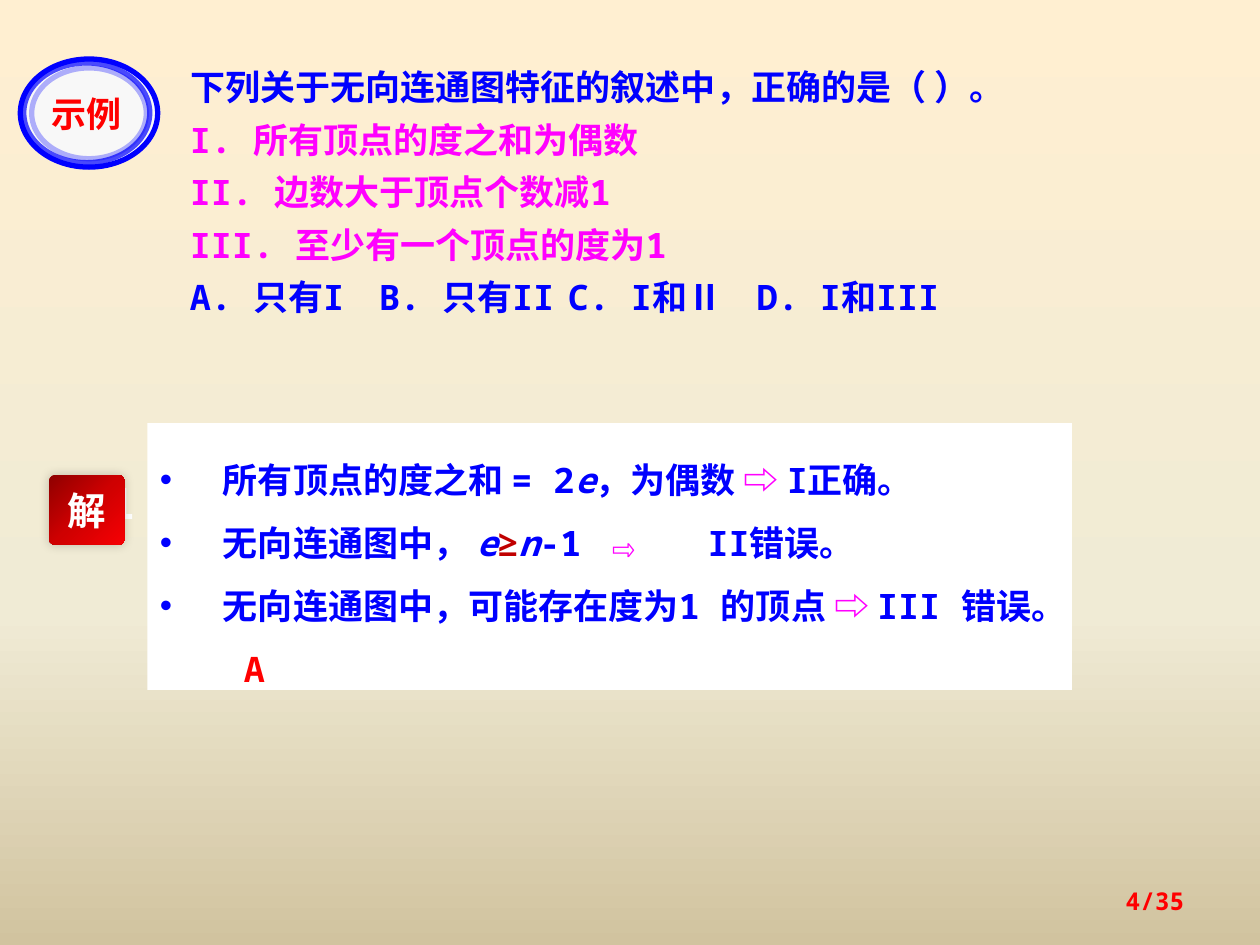
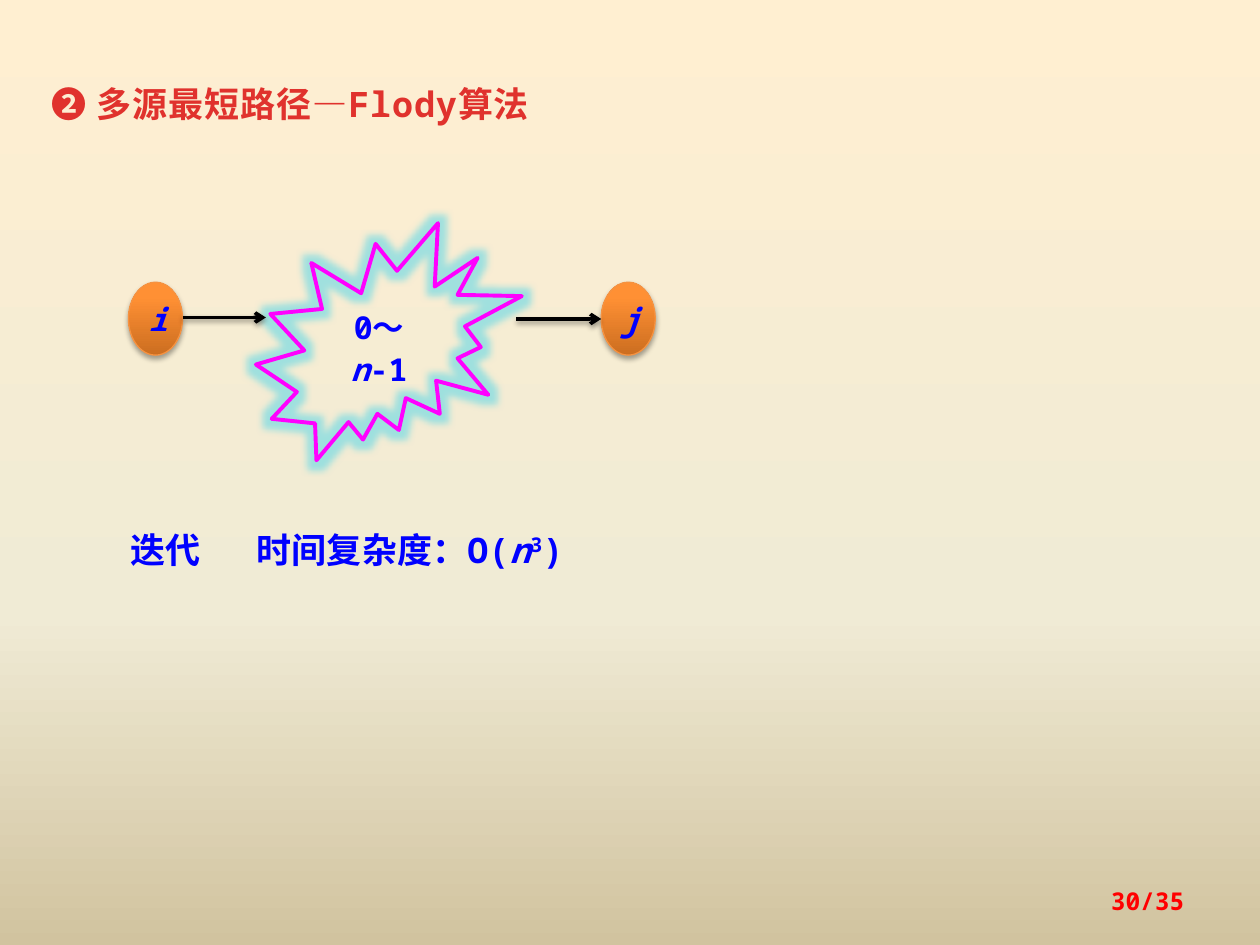
"""Build two slides on graph algorithms: a worked example and the all-pairs shortest path."""
from dataclasses import dataclass

from lxml import etree
from pptx import Presentation
from pptx.dml.color import RGBColor
from pptx.enum.shapes import MSO_CONNECTOR, MSO_SHAPE
from pptx.enum.text import MSO_ANCHOR, MSO_AUTO_SIZE, PP_ALIGN
from pptx.oxml.ns import qn
from pptx.util import Cm, Pt

LEFT, CENTER, RIGHT = PP_ALIGN.LEFT, PP_ALIGN.CENTER, PP_ALIGN.RIGHT
TOP, MIDDLE = MSO_ANCHOR.TOP, MSO_ANCHOR.MIDDLE
OVAL, ROUNDED, SEAL = MSO_SHAPE.OVAL, MSO_SHAPE.ROUNDED_RECTANGLE, MSO_SHAPE.EXPLOSION2


@dataclass(frozen=True)
class Theme:
    """Colours, gradients, fonts and sizes."""
    mono: str = "Noto Sans Mono"
    cjk: str = "Noto Sans CJK SC"
    badge_font: str = "Noto Sans CJK JP"
    blue: str = "0000FF"
    pink: str = "FF00FF"
    red: str = "FF0000"
    dark_red: str = "C00000"
    heading: str = "E0322D"
    white: str = "FFFFFF"
    black: str = "000000"
    badge: str = "F8F8F8"
    node_line: str = "F69240"
    glow: str = "66D8E6"
    backdrop: tuple = ((0, "FFEFD1"), (65, "F0EBD5"), (100, "D1C39F"))
    node: tuple = ((0, "CC6E20"), (80, "FF9034"), (100, "FF9136"))
    solution: tuple = ((0, "8F0000"), (50, "CF0001"), (100, "F60004"))
    text: int = 20
    diagram: int = 18
    page: int = 14
    solution_size: int = 22
    number_size: int = 24


THEME = Theme()
ITALIC = {"italic": True}
ARROW = {"color": THEME.pink}
TOTAL_PAGES = 35

QUESTION = "下列关于无向连通图特征的叙述中，正确的是（ ）。"
STATEMENTS = ["I. 所有顶点的度之和为偶数", "II. 边数大于顶点个数减1", "III. 至少有一个顶点的度为1"]
CHOICES = ["A. 只有I", "B. 只有II", "C. I和Ⅱ", "D. I和III"]
REASONS = [
    [("所有顶点的度之和 = 2", {}), ("e", ITALIC), ("，为偶数 ", {}), ("⇨", ARROW), (" I正确。", {})],
    [("无向连通图中， ", {}), ("e", ITALIC), ("≥", {"color": THEME.dark_red}), ("n", ITALIC),
     ("-1 ", {}), ("⇨", ARROW), (" ", {"spc": 2400}), ("II错误。", {})],
    [("无向连通图中，可能存在度为1 的顶点 ", {}), ("⇨ ", ARROW), ("III 错误。", {})],
]
ANSWER = "A"
BADGE = "示例"
RINGS = [(0.41, 1.19, 2.77, 2.18, 100), (0.48, 1.27, 2.54, 2.01, 70), (0.64, 1.37, 2.31, 1.83, 30)]

HEADING = [("❷ 多源最短路径―Flody算法", {"spc": 50})]
NODES = [("i", 2.59), ("j", 12.12)]
MIDDLE_VERTICES = [("0～", {}), ("n", ITALIC), ("-1", {})]
EDGES = [(3.68, 5.36, 6.4), (10.41, 12.12, 6.43)]
COMPLEXITY = [("迭代\t时间复杂度：O(", {}), ("n", ITALIC), ("3", {"baseline": 30000}), (")", {})]


def rgb(color):
    return RGBColor.from_string(color)


def add_xml(parent, tag, **attributes):
    return etree.SubElement(parent, qn(tag), {key: str(value) for key, value in attributes.items()})


def add_color(parent, color, opacity):
    add_xml(add_xml(parent, "a:srgbClr", val=color), "a:alpha", val=opacity * 1000)


def set_gradient(fill, element, stops, angle):
    fill.gradient()
    fill.gradient_angle = (360 - angle) % 360
    stop_list = element.find(".//" + qn("a:gsLst"))
    for old_stop in list(stop_list):
        stop_list.remove(old_stop)
    for position, color in stops:
        add_color(add_xml(stop_list, "a:gs", pos=position * 1000), color, 100)


def add_shadow(effects, opacity, blur, distance, direction):
    shadow = add_xml(effects, "a:outerShdw", blurRad=Pt(blur), dist=Pt(distance),
                     dir=direction * 60000, algn="ctr", rotWithShape=0)
    add_color(shadow, THEME.black, opacity)


def style_font(font, size, color, name, italic=None):
    font.size, font.bold, font.name, font.italic = Pt(size), True, name, italic
    font.color.rgb = rgb(color)


def set_east_asian(properties, name):
    properties.find(qn("a:latin")).addnext(etree.Element(qn("a:ea"), typeface=name))


def write(paragraph, runs, size=THEME.text, color=THEME.blue, name=THEME.mono, align=LEFT,
          spacing=None, margin=0, bullet=False, tabs=()):
    if isinstance(runs, str):
        runs = [(runs, {})]
    paragraph.alignment, paragraph.space_before = align, Pt(0)
    if spacing:
        paragraph.line_spacing = spacing
    layout = paragraph._p.get_or_add_pPr()
    layout.set("marL", str(Cm(margin)))
    layout.set("indent", str(-Cm(margin) if bullet else 0))
    if bullet:
        add_xml(layout, "a:buFont", typeface="Arial")
        add_xml(layout, "a:buChar", char="•")
    else:
        add_xml(layout, "a:buNone")
    if tabs:
        tab_list = add_xml(layout, "a:tabLst")
        for position in tabs:
            add_xml(tab_list, "a:tab", pos=Cm(position), algn="l")
    east_asian = THEME.cjk if name == THEME.mono else name
    style_font(paragraph.font, size, color, name)
    set_east_asian(layout.find(qn("a:defRPr")), east_asian)
    for text, look in runs:
        run = paragraph.add_run()
        run.text = text
        style_font(run.font, size, look.get("color", color), name, look.get("italic"))
        properties = run._r.get_or_add_rPr()
        set_east_asian(properties, east_asian)
        for key in ("spc", "baseline"):
            if key in look:
                properties.set(key, str(look[key]))


def place(shape, left, top, width, height):
    shape.left, shape.top, shape.width, shape.height = Cm(left), Cm(top), Cm(width), Cm(height)


def prepare(shape, anchor=TOP, wrap=True):
    frame = shape.text_frame
    frame.auto_size, frame.word_wrap, frame.vertical_anchor = MSO_AUTO_SIZE.NONE, wrap, anchor
    return frame


def add_label(slide, box, runs, anchor=TOP, wrap=True, **look):
    label = slide.shapes.add_textbox(*map(Cm, box))
    write(prepare(label, anchor, wrap).paragraphs[0], runs, **look)


def add_figure(slide, kind, box, line=None, width=0):
    figure = slide.shapes.add_shape(kind, *map(Cm, box))
    figure.shadow.inherit = False
    figure.fill.background()
    if line:
        figure.line.color.rgb, figure.line.width = rgb(line), Pt(width)
    else:
        figure.line.fill.background()
    return figure, figure._element.spPr.find(qn("a:effectLst"))


def set_title(slide, box, runs, **look):
    place(slide.shapes.title, *box)
    write(prepare(slide.shapes.title).paragraphs[0], runs, spacing=Pt(30), **look)


def add_page_number(slide, page):
    add_label(slide, (18.21, 17.65, 5.92, 1.02), f"{page}/{TOTAL_PAGES}", MIDDLE,
              size=THEME.page, color=THEME.red, align=RIGHT)


def build_example(prs):
    slide = prs.slides.add_slide(prs.slide_layouts[1])
    set_title(slide, (3.58, 0.99, 20.24, 1.2), QUESTION)

    options = prepare(slide.shapes.add_textbox(Cm(3.58), Cm(2.05), Cm(20.24), Cm(4.53)))
    lines = [(text, THEME.pink, ()) for text in STATEMENTS]
    lines.append(("\t".join(CHOICES), THEME.blue, [5.08 * n for n in range(1, len(CHOICES))]))
    for number, (text, color, tabs) in enumerate(lines):
        paragraph = options.add_paragraph() if number else options.paragraphs[0]
        write(paragraph, text, color=color, spacing=Pt(30), tabs=tabs)

    reasoning = slide.placeholders[1]
    place(reasoning, 2.97, 8.53, 18.64, 5.38)
    reasoning.fill.solid()
    reasoning.fill.fore_color.rgb = rgb(THEME.white)
    frame = prepare(reasoning)
    frame.margin_top = Cm(0.28)
    for number, reason in enumerate(REASONS):
        paragraph = frame.add_paragraph() if number else frame.paragraphs[0]
        write(paragraph, reason, spacing=Pt(36), margin=1.27, bullet=True)
    write(frame.add_paragraph(), ANSWER, color=THEME.red, spacing=Pt(36), margin=1.69)

    for number, (*box, opacity) in enumerate(RINGS):
        ring, _ = add_figure(slide, OVAL, box, THEME.blue, 3)
        if number == 0:
            ring.fill.solid()
            ring.fill.fore_color.rgb = rgb(THEME.badge)
        ring_color = ring._element.spPr.find(qn("a:ln")).find(".//" + qn("a:srgbClr"))
        add_xml(ring_color, "a:alpha", val=opacity * 1000)
    add_label(slide, (0.53, 1.75, 2.44, 0.99), BADGE, color=THEME.red,
              name=THEME.badge_font, align=CENTER)
    add_page_number(slide, 4)

    add_label(slide, (1.96, 9.5, 1.04, 1.3), "1", wrap=False, size=THEME.number_size,
              color=THEME.white, name=THEME.cjk, align=CENTER)
    solution, effects = add_figure(slide, ROUNDED, (0.99, 9.58, 1.52, 1.4))
    solution.adjustments[0] = 0.08
    set_gradient(solution.fill, solution._element, THEME.solution, 45)
    add_shadow(effects, 20, 6, 0, 225)
    write(prepare(solution, MIDDLE, False).paragraphs[0], "解", size=THEME.solution_size,
          color=THEME.white, name=THEME.cjk, align=CENTER)


def build_shortest_path(prs):
    slide = prs.slides.add_slide(prs.slide_layouts[5])
    set_title(slide, (0.79, 1.32, 15.09, 1.27), HEADING, color=THEME.heading)

    for name, left in NODES:
        node, effects = add_figure(slide, OVAL, (left, 5.69, 1.09, 1.47), THEME.node_line, 0.75)
        set_gradient(node.fill, node._element, THEME.node, 270)
        add_shadow(effects, 35, 3.1, 1.8, 90)
        write(prepare(node, MIDDLE).paragraphs[0], [(name, ITALIC)],
              size=THEME.diagram, align=CENTER)

    vertices, effects = add_figure(slide, SEAL, (5.16, 4.5, 5.36, 4.78), THEME.pink, 2.25)
    add_color(add_xml(effects, "a:glow", rad=Pt(8)), THEME.glow, 60)
    frame = prepare(vertices, MIDDLE)
    frame.margin_left = frame.margin_right = Cm(0.15)
    write(frame.paragraphs[0], MIDDLE_VERTICES, size=THEME.diagram, align=CENTER, spacing=Pt(24))

    for start, end, level in EDGES:
        edge = slide.shapes.add_connector(MSO_CONNECTOR.STRAIGHT, Cm(start), Cm(level),
                                          Cm(end), Cm(level))
        edge.line.color.rgb, edge.line.width = rgb(THEME.black), Pt(2)
        properties = edge._element.spPr
        add_xml(properties.find(qn("a:ln")), "a:tailEnd", type="arrow")
        add_shadow(add_xml(properties, "a:effectLst"), 38, 3.1, 1.6, 90)

    add_label(slide, (2.39, 10.31, 10.92, 1.22), COMPLEXITY, spacing=Pt(30), tabs=[2.2])
    add_page_number(slide, 30)


def main():
    prs = Presentation()
    prs.slide_width, prs.slide_height = Cm(25.4), Cm(19.05)
    master = prs.slide_master
    set_gradient(master.background.fill, master.element, THEME.backdrop, 90)
    build_example(prs)
    build_shortest_path(prs)
    prs.save("out.pptx")


if __name__ == "__main__":
    main()
